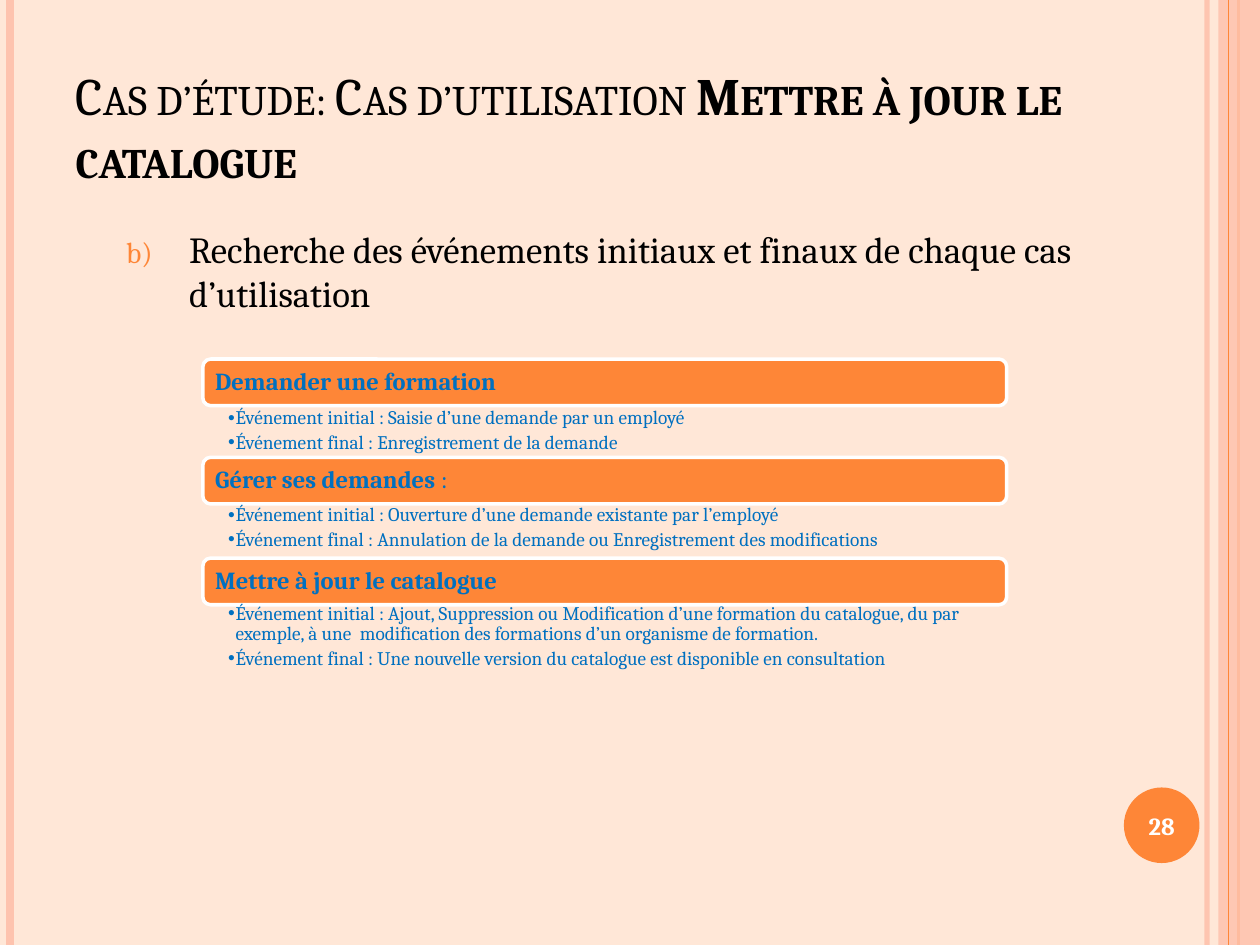
from lxml.etree import SubElement
from pptx import Presentation
from pptx.dml.color import RGBColor
from pptx.enum.shapes import MSO_CONNECTOR, MSO_SHAPE
from pptx.enum.text import MSO_ANCHOR, MSO_AUTO_SIZE, PP_ALIGN
from pptx.oxml.ns import qn
from pptx.util import Inches, Pt

CREAM = RGBColor(0xFF, 0xE7, 0xD7)
PEACH = RGBColor(0xFE, 0xC3, 0xAE)
ORANGE = RGBColor(0xFE, 0x86, 0x37)
BLUE = RGBColor(0x00, 0x70, 0xC0)
BLACK = RGBColor(0, 0, 0)
WHITE = RGBColor(0xFF, 0xFF, 0xFF)
FONT = "Cambria"

RULES = [(9.58, PEACH, 3, 93), (0.08, PEACH, 4.5, 100), (9.83, ORANGE, 1.5, 100)]
EDGE_RULE = (9.75, ORANGE, 0.75, 100)
LEFT, WIDTH, BAR_H = 1.61, 6.38, 0.37
USE_CASES = [
    (2.85, 3.22, 0.41, "Demander une formation", "", [
        "Événement initial : Saisie d’une demande par un employé",
        "Événement final : Enregistrement de la demande"]),
    (3.63, 3.99, 0.41, "Gérer ses demandes ", ":", [
        "Événement initial : Ouverture d’une demande existante par l’employé",
        "Événement final : Annulation de la demande ou Enregistrement des modifications"]),
    (4.43, 4.77, 0.74, "Mettre à jour le catalogue", "", [
        "Événement initial : Ajout, Suppression ou Modification d’une formation du catalogue, "
        "du par exemple, à une  modification des formations d’un organisme de formation.",
        "Événement final : Une nouvelle version du catalogue est disponible en consultation"]),
]


def add_run(p, text, size, color, bold=False, small_caps=False):
    """Add a formatted run to a paragraph."""
    r = p.add_run()
    r.text = text
    r.font.name, r.font.size, r.font.bold = FONT, Pt(size), bold
    r.font.color.rgb = color
    if small_caps:
        r.font._element.set("cap", "small")


def set_frame(tf, insets, anchor):
    """Set the margins, anchor and wrapping of a text frame."""
    tf.margin_left, tf.margin_top, tf.margin_right, tf.margin_bottom = map(Inches, insets)
    tf.vertical_anchor = anchor
    tf.word_wrap = True
    tf.auto_size = MSO_AUTO_SIZE.NONE


def set_bullet(p, tag, attrs, left, hanging, font, color=None, percent=None):
    """Give a paragraph a hanging bullet or number."""
    pPr = p._p.get_or_add_pPr()
    pPr.set("marL", str(Inches(left)))
    pPr.set("indent", str(-Inches(hanging)))
    if color is not None:
        SubElement(SubElement(pPr, qn("a:buClr")), qn("a:srgbClr"), val=str(color))
    if percent:
        SubElement(pPr, qn("a:buSzPct"), val=str(percent * 1000))
    SubElement(pPr, qn("a:buFont"), typeface=font)
    SubElement(pPr, qn(tag), **attrs)


def set_alpha(sp, percent):
    """Set the opacity of the first colour of a shape."""
    color = next(sp._element.spPr.iter(qn("a:srgbClr")))
    SubElement(color, qn("a:alpha"), val=str(percent * 1000))


def add_rule(slide, x, color, width, alpha):
    """Draw a full-height vertical line."""
    line = slide.shapes.add_connector(
        MSO_CONNECTOR.STRAIGHT, Inches(x), 0, Inches(x), Inches(7.5))
    line.line.color.rgb = color
    line.line.width = Pt(width)
    if alpha < 100:
        set_alpha(line, alpha)
    SubElement(line._element.spPr, qn("a:effectLst"))


def add_shape(slide, kind, box, fill, outline=None):
    """Add a filled preset shape without shadow."""
    sp = slide.shapes.add_shape(kind, *map(Inches, box))
    sp.shadow.inherit = False
    sp.fill.solid()
    sp.fill.fore_color.rgb = fill
    if outline is None:
        sp.line.fill.background()
    else:
        sp.line.color.rgb = outline
        sp.line.width = Pt(2)
    return sp


def place(sp, box):
    """Move and size a placeholder."""
    sp.left, sp.top, sp.width, sp.height = map(Inches, box)


def add_decor(slide):
    """Draw the background, the side bands and the page number."""
    slide.background.fill.solid()
    slide.background.fill.fore_color.rgb = CREAM
    for rule in RULES:
        add_rule(slide, *rule)
    set_alpha(add_shape(slide, MSO_SHAPE.RECTANGLE, (9.67, 0, 0.33, 7.5), PEACH), 87)
    add_rule(slide, *EDGE_RULE)
    badge = add_shape(slide, MSO_SHAPE.OVAL, (8.92, 6.25, 0.6, 0.6), ORANGE)
    set_frame(badge.text_frame, (0, 0, 0, 0), MSO_ANCHOR.MIDDLE)
    p = badge.text_frame.paragraphs[0]
    p.alignment = PP_ALIGN.CENTER
    add_run(p, "28", 14, WHITE, bold=True)


def fill_title(title):
    """Write the slide title."""
    place(title, (0.5, 0.3, 8.17, 1.25))
    set_frame(title.text_frame, (0.1, 0.05, 0.1, 0.05), MSO_ANCHOR.BOTTOM)
    p = title.text_frame.paragraphs[0]
    p.alignment = PP_ALIGN.LEFT
    add_run(p, "Cas d’étude: Cas d’utilisation ", 30, BLACK, small_caps=True)
    add_run(p, "Mettre à jour le catalogue", 30, BLACK, bold=True, small_caps=True)


def fill_body(body):
    """Write the lettered step."""
    place(body, (0.5, 1.75, 8.17, 5.33))
    set_frame(body.text_frame, (0.1, 0.05, 0.1, 0.05), MSO_ANCHOR.TOP)
    p = body.text_frame.paragraphs[0]
    p.level = 1
    p.space_before = Pt(4.2)
    set_bullet(p, "a:buAutoNum", {"type": "alphaLcParenR", "startAt": "2"},
               0.9, 0.5, FONT, ORANGE, 80)
    add_run(p, "Recherche des événements initiaux et finaux de chaque cas d’utilisation",
            21, BLACK)


def add_use_case(slide, top, list_top, list_h, name, suffix, events):
    """Add a heading bar with its list of events."""
    bar = add_shape(slide, MSO_SHAPE.ROUNDED_RECTANGLE, (LEFT, top, WIDTH, BAR_H),
                    ORANGE, WHITE)
    set_frame(bar.text_frame, (0.08, 0.06, 0.08, 0.06), MSO_ANCHOR.MIDDLE)
    p = bar.text_frame.paragraphs[0]
    p.alignment = PP_ALIGN.LEFT
    p.line_spacing = 0.9
    add_run(p, name, 14, BLUE, bold=True)
    if suffix:
        add_run(p, suffix, 14, BLUE)
    box = slide.shapes.add_textbox(*map(Inches, (LEFT, list_top, WIDTH, list_h)))
    tf = box.text_frame
    set_frame(tf, (0.2, 0.02, 0.11, 0.02), MSO_ANCHOR.TOP)
    for i, event in enumerate(events):
        p = tf.add_paragraph() if i else tf.paragraphs[0]
        p.level = 1
        p.line_spacing = 0.9
        p.space_after = Pt(2.2)
        set_bullet(p, "a:buChar", {"char": "•"}, 0.06, 0.06, "Arial")
        add_run(p, event, 11, BLUE)


def main():
    """Build and save the slide."""
    prs = Presentation()
    prs.slide_width, prs.slide_height = Inches(10), Inches(7.5)
    slide = prs.slides.add_slide(prs.slide_layouts[1])
    add_decor(slide)
    fill_title(slide.shapes.title)
    fill_body(slide.placeholders[1])
    for use_case in USE_CASES:
        add_use_case(slide, *use_case)
    prs.save("out.pptx")


main()
